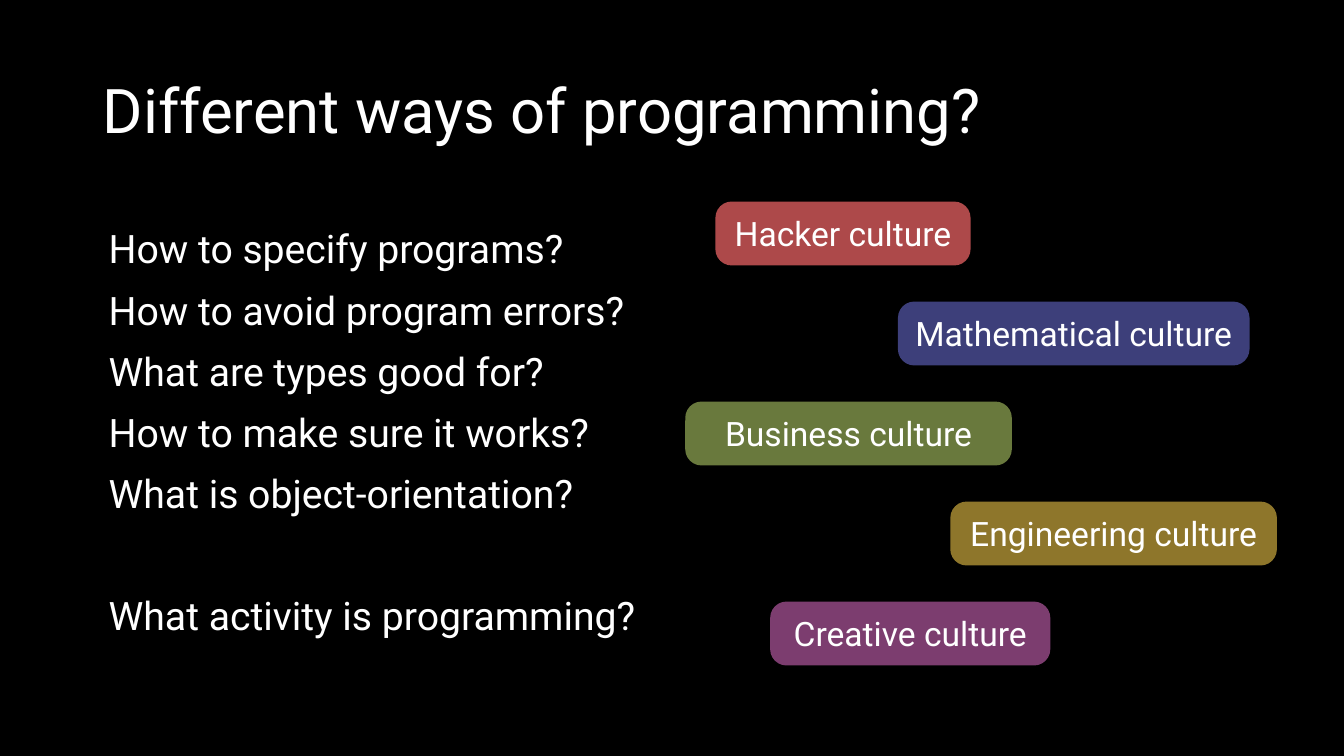
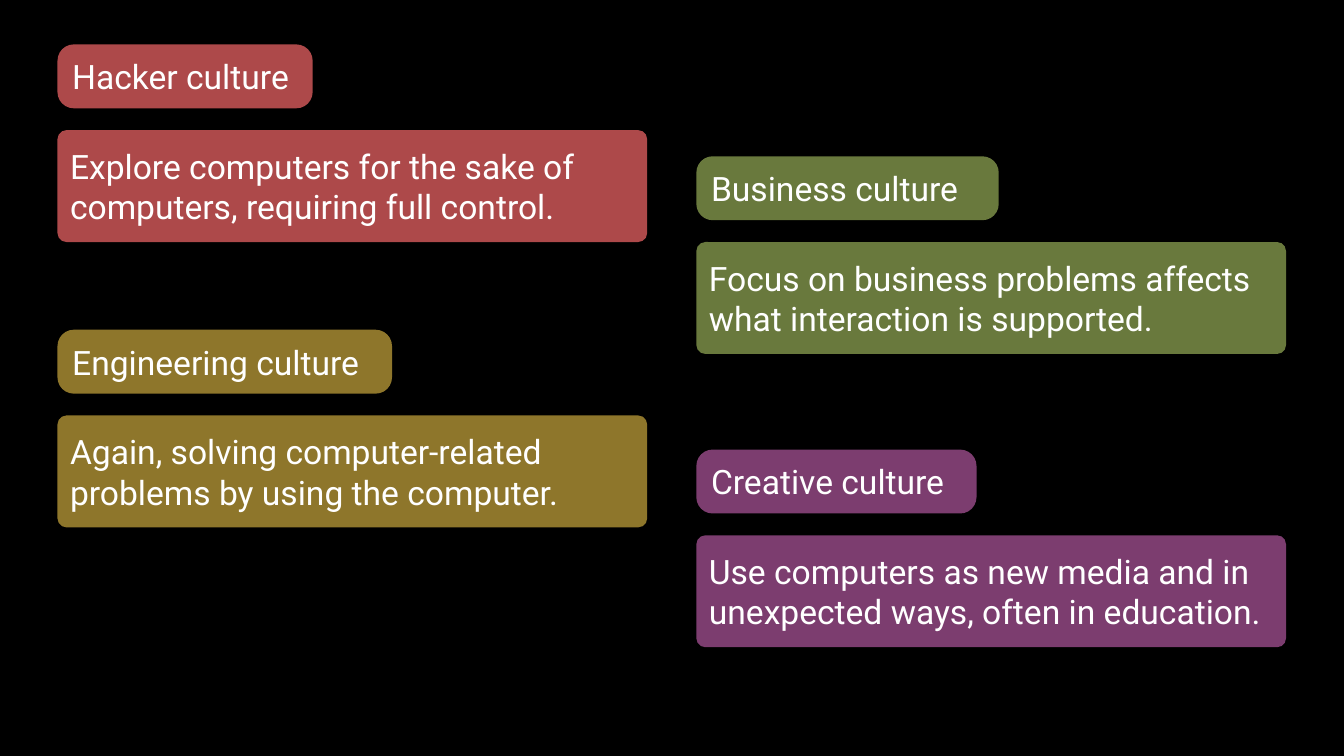
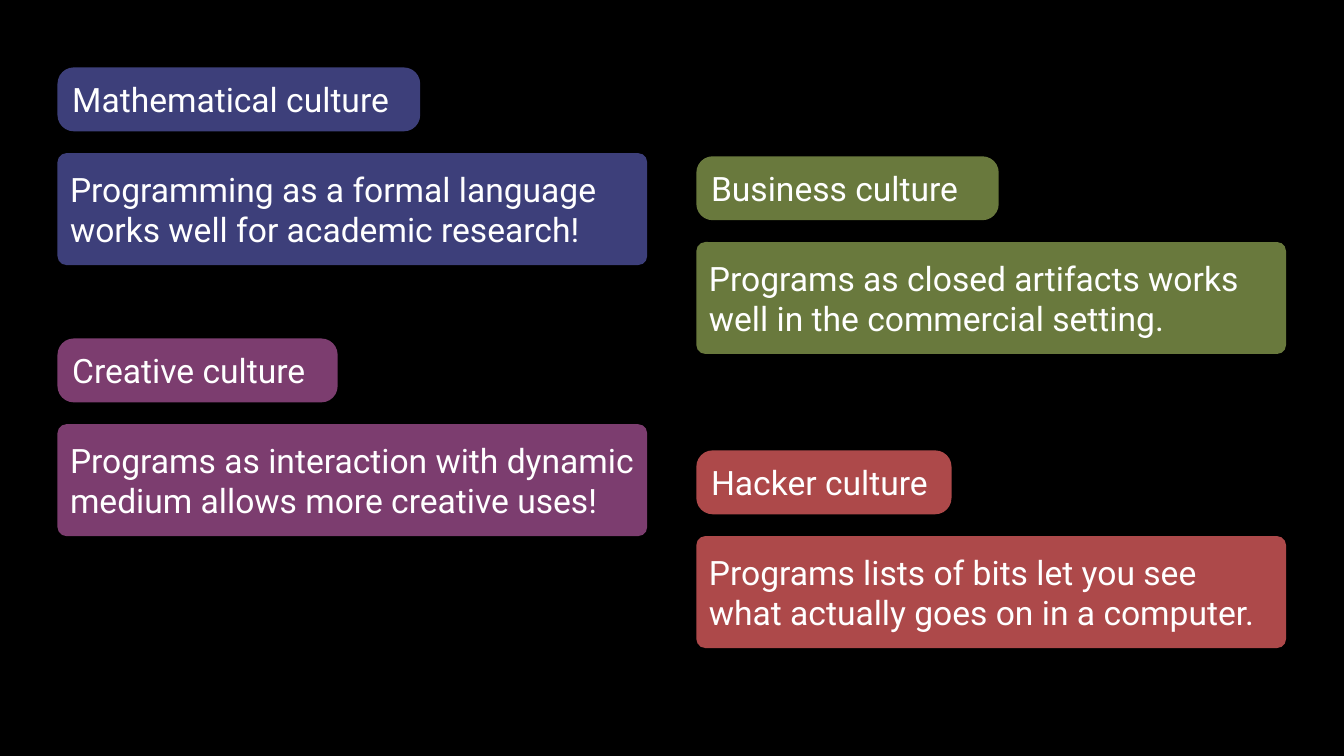
"""Build three slides on the cultures of programming."""
from dataclasses import dataclass

from pptx import Presentation
from pptx import util as u
from pptx.dml.color import RGBColor
from pptx.enum import shapes, text


@dataclass(frozen=True)
class Theme:
    font: str = "Roboto"
    background: str = "000000"
    ink: str = "FFFFFF"
    red: str = "AD494A"
    blue: str = "3D3F7A"
    green: str = "69793D"
    gold: str = "8E762B"
    purple: str = "7C3D6F"
    title_size: int = 44
    question_size: int = 28
    culture_size: int = 24


@dataclass(frozen=True)
class Box:
    left: float
    top: float
    width: float
    height: float


@dataclass(frozen=True)
class Culture:
    name: str
    colour: str
    overview_left: float
    overview_width: float
    label_width: float


@dataclass(frozen=True)
class Card:
    culture: Culture
    left: float
    top: float
    statement: str


THEME = Theme()
HACKER = Culture("Hacker culture", THEME.red, 18.03, 6.43, 6.43)
MATHEMATICAL = Culture("Mathematical culture", THEME.blue, 22.63, 8.86, 9.14)
BUSINESS = Culture("Business culture", THEME.green, 17.27, 8.23, 7.62)
ENGINEERING = Culture("Engineering culture", THEME.gold, 23.95, 8.23, 8.43)
CREATIVE = Culture("Creative culture", THEME.purple, 19.41, 7.06, 7.06)
CULTURES = (HACKER, MATHEMATICAL, BUSINESS, ENGINEERING, CREATIVE)

TITLE_BOX = Box(2.34, 1.02, 29.21, 3.68)
QUESTIONS_BOX = Box(2.49, 5.54, 15.52, 11.61)
OVERVIEW_TOP, OVERVIEW_STEP = 5.08, 2.52
LABEL_HEIGHT, LABEL_ROUNDING = 1.61, 0.255
STATEMENT_OFFSET, STATEMENT_ROUNDING = 2.16, 0.08
STATEMENT_WIDTH, STATEMENT_HEIGHT = 14.86, 2.82
LEFT_COLUMN, RIGHT_COLUMN = 1.45, 17.55
QUESTION_GAP, CLOSING_GAP = 10, 53.6

QUESTIONS = (
    "How to specify programs?",
    "How to avoid program errors?",
    "What are types good for?",
    "How to make sure it works?",
    "What is object-orientation?",
)
CLOSING_QUESTION = "What activity is programming?"

CARD_SLIDES = (
    (
        Card(HACKER, LEFT_COLUMN, 1.12,
             "Explore computers for the sake of computers, requiring full control."),
        Card(BUSINESS, RIGHT_COLUMN, 3.94,
             "Focus on business problems affects what interaction is supported."),
        Card(ENGINEERING, LEFT_COLUMN, 8.31,
             "Again, solving computer-related problems by using the computer."),
        Card(CREATIVE, RIGHT_COLUMN, 11.33,
             "Use computers as new media and in unexpected ways, often in education."),
    ),
    (
        Card(HACKER, RIGHT_COLUMN, 11.35,
             "Programs lists of bits let you see what actually goes on in a computer."),
        Card(BUSINESS, RIGHT_COLUMN, 3.94,
             "Programs as closed artifacts works well in the commercial setting."),
        Card(CREATIVE, LEFT_COLUMN, 8.53,
             "Programs as interaction with dynamic medium allows more creative uses!"),
        Card(MATHEMATICAL, LEFT_COLUMN, 1.7,
             "Programming as a formal language works well for academic research!"),
    ),
)


def place(box: Box) -> tuple:
    return u.Cm(box.left), u.Cm(box.top), u.Cm(box.width), u.Cm(box.height)


def write(paragraph, wording: str, size: int) -> None:
    run = paragraph.add_run()
    run.text = wording
    run.font.name = THEME.font
    run.font.size = u.Pt(size)
    run.font.color.rgb = RGBColor.from_string(THEME.ink)


def add_slide(deck):
    slide = deck.slides.add_slide(deck.slide_layouts[6])
    backdrop = slide.background.fill
    backdrop.solid()
    backdrop.fore_color.rgb = RGBColor.from_string(THEME.background)
    return slide


def add_frame(slide, box: Box, anchor: text.MSO_ANCHOR):
    frame = slide.shapes.add_textbox(*place(box)).text_frame
    frame.word_wrap = True
    frame.vertical_anchor = anchor
    return frame


def add_panel(slide, box: Box, colour: str, rounding: float, wording: str,
              align: text.PP_ALIGN = text.PP_ALIGN.LEFT) -> None:
    panel = slide.shapes.add_shape(shapes.MSO_SHAPE.ROUNDED_RECTANGLE, *place(box))
    panel.adjustments[0] = rounding
    panel.shadow.inherit = False
    panel.fill.solid()
    panel.fill.fore_color.rgb = RGBColor.from_string(colour)
    panel.line.fill.background()
    frame = panel.text_frame
    frame.word_wrap = True
    frame.vertical_anchor = text.MSO_ANCHOR.MIDDLE
    paragraph = frame.paragraphs[0]
    paragraph.alignment = align
    write(paragraph, wording, THEME.culture_size)


def add_card(slide, card: Card) -> None:
    culture = card.culture
    statement_box = Box(card.left, card.top + STATEMENT_OFFSET,
                        STATEMENT_WIDTH, STATEMENT_HEIGHT)
    label_box = Box(card.left, card.top, culture.label_width, LABEL_HEIGHT)
    add_panel(slide, statement_box, culture.colour, STATEMENT_ROUNDING, card.statement)
    add_panel(slide, label_box, culture.colour, LABEL_ROUNDING, culture.name)


def add_overview(deck) -> None:
    slide = add_slide(deck)
    title = add_frame(slide, TITLE_BOX, text.MSO_ANCHOR.MIDDLE).paragraphs[0]
    title.line_spacing = 0.9
    write(title, "Different ways of programming?", THEME.title_size)

    questions = add_frame(slide, QUESTIONS_BOX, text.MSO_ANCHOR.TOP)
    for index, question in enumerate((*QUESTIONS, CLOSING_QUESTION)):
        paragraph = questions.add_paragraph() if index else questions.paragraphs[0]
        if index:
            closing = question == CLOSING_QUESTION
            paragraph.space_before = u.Pt(CLOSING_GAP if closing else QUESTION_GAP)
        write(paragraph, question, THEME.question_size)

    for row, culture in enumerate(CULTURES):
        label_box = Box(culture.overview_left, OVERVIEW_TOP + row * OVERVIEW_STEP,
                        culture.overview_width, LABEL_HEIGHT)
        add_panel(slide, label_box, culture.colour, LABEL_ROUNDING, culture.name,
                  text.PP_ALIGN.CENTER)


def main() -> None:
    deck = Presentation()
    deck.slide_width, deck.slide_height = u.Cm(33.87), u.Cm(19.05)
    add_overview(deck)
    for cards in CARD_SLIDES:
        slide = add_slide(deck)
        for card in cards:
            add_card(slide, card)
    deck.save("out.pptx")


if __name__ == "__main__":
    main()
